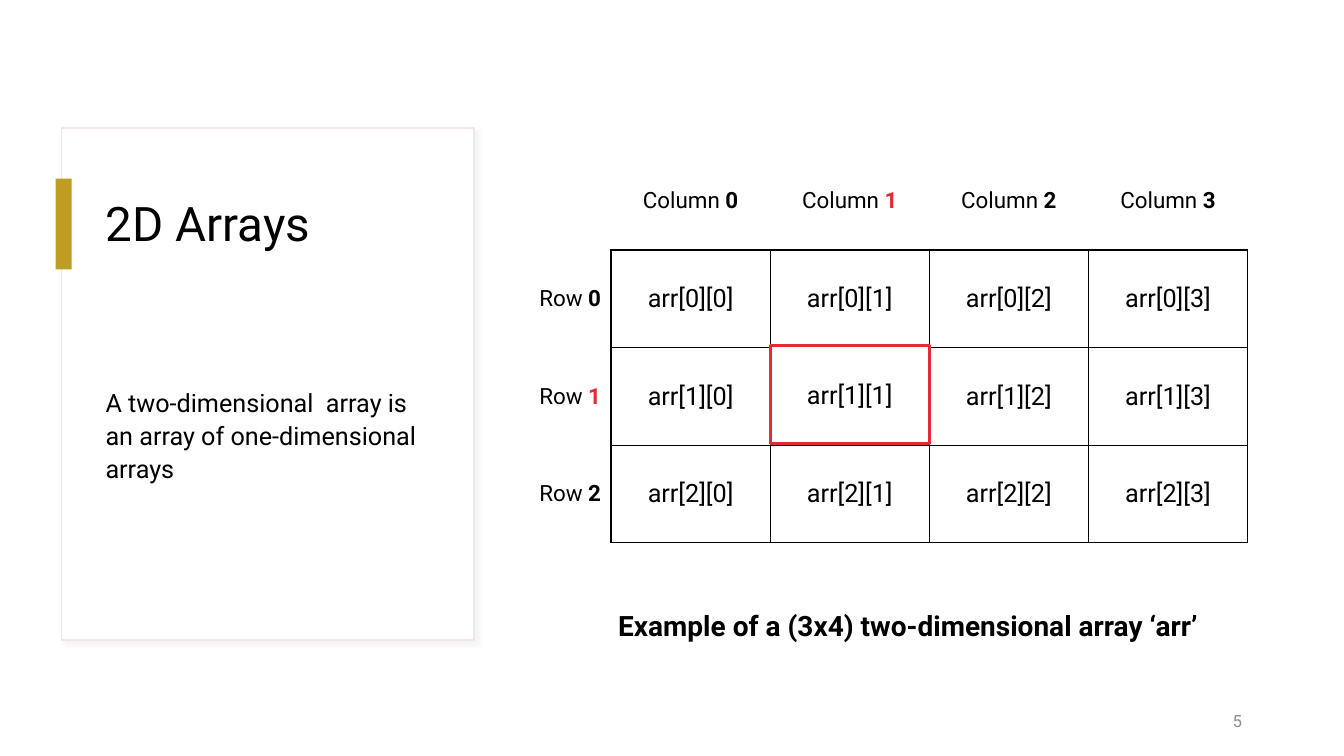
from lxml.etree import SubElement
from pptx import Presentation
from pptx.dml.color import RGBColor
from pptx.enum.shapes import MSO_SHAPE
from pptx.enum.text import MSO_ANCHOR, MSO_AUTO_SIZE, PP_ALIGN
from pptx.oxml import parse_xml
from pptx.oxml.ns import nsdecls, qn
from pptx.util import Cm, Pt

# Content
TITLE = "2D Arrays"
DEFINITION = "A two-dimensional  array is an array of one-dimensional arrays"
CAPTION = "Example of a (3x4) two-dimensional array ‘arr’"
PAGE_NUMBER = "5"
ROWS, COLUMNS = 3, 4
MARKED = 1  # index of the highlighted row and column

# Look and measures (cm)
FONT = "Roboto"
BLACK, WHITE, RED, GOLD, GREY = "000000", "FFFFFF", "E72932", "BF9D22", "8C8C8C"
TABLE_LEFT, TABLE_TOP = 12.7, 3.84
LABEL_WIDTH, CELL_WIDTH, ROW_HEIGHT = 2.7, 4.01, 2.46


def color(value):
    return RGBColor.from_string(value)


def place(shape, left, top, width, height):
    shape.left, shape.top = Cm(left), Cm(top)
    shape.width, shape.height = Cm(width), Cm(height)


def style_run(run, size, ink=BLACK, bold=False):
    run.font.name = FONT
    run.font.size = Pt(size)
    run.font.bold = bold
    run.font.color.rgb = color(ink)


def write(text_frame, text, size, ink=BLACK, bold=False,
          align=PP_ALIGN.LEFT, anchor=MSO_ANCHOR.TOP):
    text_frame.text = text
    text_frame.word_wrap = True
    text_frame.auto_size = MSO_AUTO_SIZE.NONE
    text_frame.vertical_anchor = anchor
    paragraph = text_frame.paragraphs[0]
    paragraph.alignment = align
    style_run(paragraph.runs[0], size, ink, bold)
    return paragraph


def add_text(slide, box, text, size, **options):
    shape = slide.shapes.add_textbox(*map(Cm, box))
    return write(shape.text_frame, text, size, **options)


def add_rectangle(slide, box, fill, line=None, line_width=1):
    shape = slide.shapes.add_shape(MSO_SHAPE.RECTANGLE, *map(Cm, box))
    shape.shadow.inherit = False
    shape.fill.solid()
    shape.fill.fore_color.rgb = color(fill)
    if line:
        shape.line.color.rgb = color(line)
        shape.line.width = Pt(line_width)
    else:
        shape.line.fill.background()
    return shape


def add_soft_shadow(shape):
    effects = shape.element.spPr.find(qn("a:effectLst"))
    effects.append(parse_xml(
        f'<a:outerShdw {nsdecls("a")} blurRad="{Pt(4)}" dist="{Pt(3)}" dir="2700000">'
        '<a:srgbClr val="D9D9D9"><a:alpha val="30000"/></a:srgbClr></a:outerShdw>'))


def set_borders(cell, drawn_sides):
    properties = cell._tc.get_or_add_tcPr()
    for side in "LRTB":
        border = SubElement(properties, qn(f"a:ln{side}"), w=str(Pt(1)))
        if side in drawn_sides:
            fill = SubElement(border, qn("a:solidFill"))
            SubElement(fill, qn("a:srgbClr"), val=BLACK)
        else:
            SubElement(border, qn("a:noFill"))


def write_label(cell, word, index, align):
    paragraph = cell.text_frame.paragraphs[0]
    paragraph.alignment = align
    for text, bold in ((f"{word} ", False), (str(index), True)):
        run = paragraph.add_run()
        run.text = text
        style_run(run, 16, RED if bold and index == MARKED else BLACK, bold)


def add_array_table(slide):
    width = LABEL_WIDTH + COLUMNS * CELL_WIDTH
    height = (ROWS + 1) * ROW_HEIGHT
    table = slide.shapes.add_table(
        ROWS + 1, COLUMNS + 1, Cm(TABLE_LEFT), Cm(TABLE_TOP), Cm(width), Cm(height)).table
    table.first_row = table.horz_banding = False
    for number, column in enumerate(table.columns):
        column.width = Cm(CELL_WIDTH if number else LABEL_WIDTH)
    for row in table.rows:
        row.height = Cm(ROW_HEIGHT)

    for i in range(ROWS + 1):
        for j in range(COLUMNS + 1):
            cell = table.cell(i, j)
            if i and j:
                sides = "LRTB"
                paragraph = cell.text_frame.paragraphs[0]
                paragraph.text = f"arr[{i - 1}][{j - 1}]"
                paragraph.alignment = PP_ALIGN.CENTER
                style_run(paragraph.runs[0], 18)
            elif j:
                sides = "B"
                write_label(cell, "Column", j - 1, PP_ALIGN.CENTER)
            elif i:
                sides = "R"
                write_label(cell, "Row", i - 1, PP_ALIGN.RIGHT)
            else:
                sides = ""
            set_borders(cell, sides)
            cell.fill.solid()
            cell.fill.fore_color.rgb = color(WHITE)
            cell.vertical_anchor = MSO_ANCHOR.MIDDLE


def main():
    presentation = Presentation()
    presentation.slide_width, presentation.slide_height = Cm(33.87), Cm(19.05)
    slide = presentation.slides.add_slide(presentation.slide_layouts[5])

    # Card with accent bar behind the title
    title = slide.shapes.title
    card = add_rectangle(slide, (1.55, 3.23, 10.4, 12.9), WHITE, "F0E5EB")
    add_soft_shadow(card)
    bar = add_rectangle(slide, (1.4, 4.5, 0.41, 2.29), GOLD)
    bar.element.addnext(title.element)
    place(title, 2.41, 4.75, 8.61, 4.75)
    write(title.text_frame, TITLE, 34)

    # Definition
    definition = add_text(slide, (2.41, 9.55, 8.61, 5.72), DEFINITION, 18)
    definition.line_spacing = 1.1
    definition.space_before = Pt(10)

    # Array table and caption
    add_array_table(slide)
    add_text(slide, (14.33, 15.21, 17.12, 1.12), CAPTION, 20, bold=True,
             align=PP_ALIGN.CENTER)

    # Highlighted element
    left = TABLE_LEFT + LABEL_WIDTH + MARKED * CELL_WIDTH
    top = TABLE_TOP + (MARKED + 1) * ROW_HEIGHT - 0.05
    marker = add_rectangle(slide, (left, top, CELL_WIDTH, ROW_HEIGHT), WHITE, RED, 2)
    write(marker.text_frame, f"arr[{MARKED}][{MARKED}]", 18,
          align=PP_ALIGN.CENTER, anchor=MSO_ANCHOR.MIDDLE)

    # Page number
    add_text(slide, (23.93, 17.65, 7.62, 1.02), PAGE_NUMBER, 12, ink=GREY,
             align=PP_ALIGN.RIGHT, anchor=MSO_ANCHOR.MIDDLE)

    presentation.save("out.pptx")


if __name__ == "__main__":
    main()
